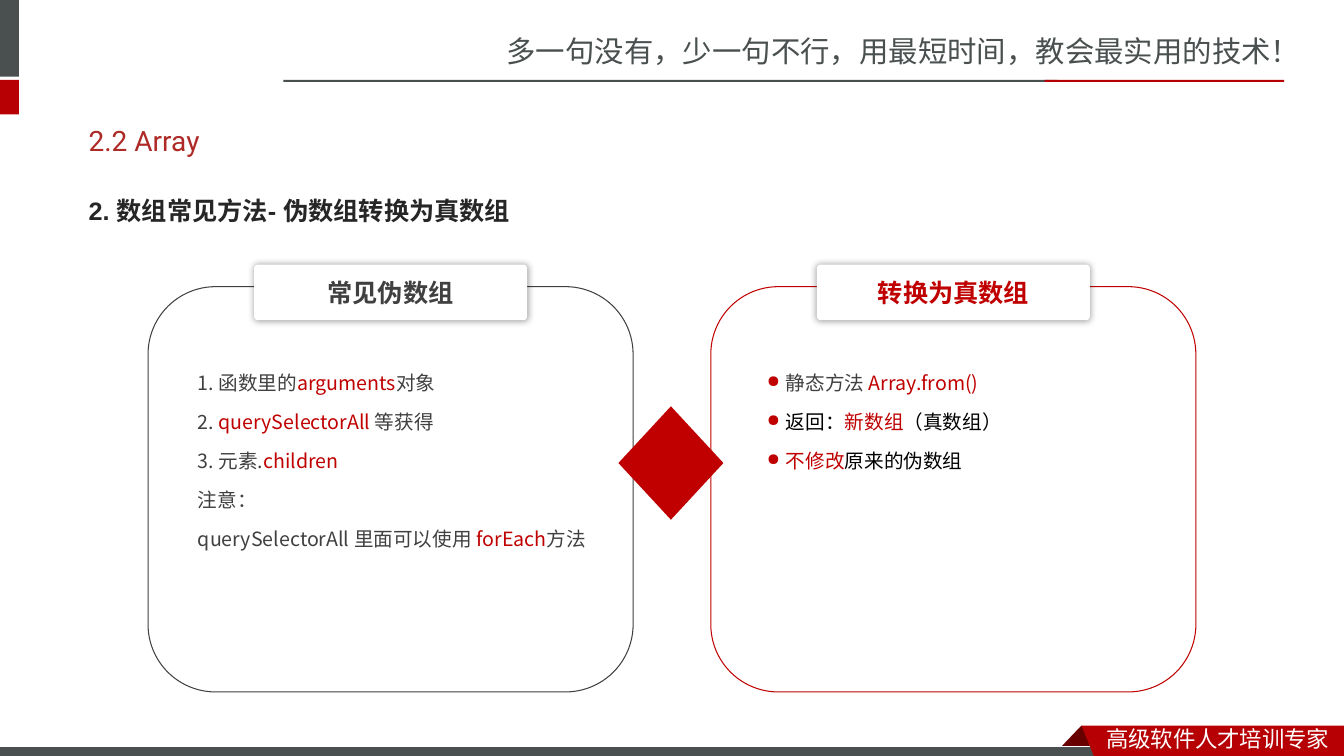
from lxml.etree import SubElement
from pptx import Presentation
from pptx.dml.color import RGBColor
from pptx.enum.shapes import MSO_SHAPE
from pptx.enum.text import MSO_ANCHOR, PP_ALIGN
from pptx.oxml.ns import qn
from pptx.util import Emu, Pt

PX = 9525  # EMU, 96 px to the inch
SLIDE_WIDTH, SLIDE_HEIGHT = 1280, 720

WHITE = RGBColor(0xFF, 0xFF, 0xFF)
BLACK = RGBColor(0x00, 0x00, 0x00)
SLATE = RGBColor(0x49, 0x50, 0x4F)
BRIGHT_RED = RGBColor(0xB6, 0x00, 0x04)
FOLD_RED = RGBColor(0x68, 0x00, 0x00)
TITLE_RED = RGBColor(0xAD, 0x2A, 0x26)
RED = RGBColor(0xC0, 0x00, 0x00)
GREY = RGBColor(0x40, 0x40, 0x40)
DARK = RGBColor(0x26, 0x26, 0x26)

SANS_SC = "Noto Sans CJK SC"
SANS_JP = "Noto Sans CJK JP"

FAKE_ARRAYS = [
    [("1. 函数里的", GREY), ("arguments", RED), ("对象", GREY)],
    [("2. ", GREY), ("querySelectorAll ", RED), ("等获得", GREY)],
    [("3. 元素.", GREY), ("children", RED)],
    [("注意：", GREY)],
    [("querySelectorAll 里面可以使用 ", GREY), ("forEach", RED), ("方法", GREY)],
]
CONVERSION = [
    [("静态方法 ", GREY), ("Array.from()", RED)],
    [("返回：", BLACK), ("新数组", RED), ("（真数组）", BLACK)],
    [("不修改", RED), ("原来的伪数组", BLACK)],
]


def px(*lengths):
    return [Emu(length * PX) for length in lengths]


def paint(shape, fill=None, line=None):
    shape.shadow.inherit = False
    if fill is None:
        shape.fill.background()
    else:
        shape.fill.solid()
        shape.fill.fore_color.rgb = fill
    if line is None:
        shape.line.fill.background()
    else:
        shape.line.color.rgb = line
        shape.line.width = Pt(0.75)


def add_block(slide, kind, box, fill=None, line=None):
    shape = slide.shapes.add_shape(kind, *px(*box))
    paint(shape, fill, line)
    return shape


def add_polygon(slide, points, fill):
    builder = slide.shapes.build_freeform(*points[0], scale=PX)
    builder.add_line_segments(points[1:], close=True)
    paint(builder.convert_to_shape(), fill)


def add_text(slide, box, paragraphs, size, font, bold=False, anchor=MSO_ANCHOR.TOP,
             align=PP_ALIGN.LEFT, line_spacing=None, bullets=False):
    """Each paragraph is a list of (text, colour) runs."""
    frame = slide.shapes.add_textbox(*px(*box)).text_frame
    frame.word_wrap = True
    frame.vertical_anchor = anchor
    for index, runs in enumerate(paragraphs):
        paragraph = frame.add_paragraph() if index else frame.paragraphs[0]
        paragraph.alignment = align
        if line_spacing:
            paragraph.line_spacing = line_spacing
            paragraph.space_before = Pt(size * 0.2)
        if bullets:
            add_bullet(paragraph)
        for text, color in runs:
            run = paragraph.add_run()
            run.text = text
            run.font.size = Pt(size)
            run.font.bold = bold
            run.font.name = font
            run.font.color.rgb = color
            SubElement(run.font._element, qn("a:ea"), typeface=font)


def add_bullet(paragraph):
    indent = 18 * PX
    properties = paragraph._p.get_or_add_pPr()
    properties.set("marL", str(indent))
    properties.set("indent", str(-indent))
    color = SubElement(properties, qn("a:buClr"))
    SubElement(color, qn("a:srgbClr"), val=str(RED))
    SubElement(properties, qn("a:buSzPct"), val="85000")
    SubElement(properties, qn("a:buChar"), char="●")


def add_glow(shape):
    effects = shape._element.spPr.find(qn("a:effectLst"))
    shadow = SubElement(effects, qn("a:outerShdw"), blurRad=str(Pt(5)),
                        algn="ctr", rotWithShape="0")
    color = SubElement(shadow, qn("a:srgbClr"), val=str(BLACK))
    SubElement(color, qn("a:alpha"), val="40000")


def add_header(slide):
    add_text(slide, (473, 27, 807, 45),
             [[("多一句没有，少一句不行，用最短时间，教会最实用的技术！", SLATE)]], 21, SANS_SC)
    for box, fill in [((-6, 0, 24, 73), SLATE), ((-6, 76, 24, 33), BRIGHT_RED),
                      ((270, 76, 737, 2), SLATE), ((995, 76, 228, 2), BRIGHT_RED)]:
        add_block(slide, MSO_SHAPE.RECTANGLE, box, fill)


def add_footer(slide, left, top):
    """The ribbon starts at left, top and runs to the right edge."""
    bottom = top + 32
    add_polygon(slide, [(left, top), (left + 21, top + 22), (left - 21, top + 22)], FOLD_RED)
    add_block(slide, MSO_SHAPE.RECTANGLE, (-1, top + 20, 1056, 12), SLATE, WHITE)
    add_polygon(slide, [(left, top), (SLIDE_WIDTH, top), (SLIDE_WIDTH, bottom),
                        (left + 13, bottom)], BRIGHT_RED)
    add_text(slide, (left + 14, top - 5, SLIDE_WIDTH - left - 14, 36),
             [[("高级软件人才培训专家", WHITE)]], 16, SANS_SC)


def add_headings(slide, left, width):
    add_text(slide, (left, 106, width, 55), [[("2.2 Array", TITLE_RED)]], 20, "Roboto",
             anchor=MSO_ANCHOR.MIDDLE)
    add_text(slide, (left, 167, width, 463),
             [[("2. 数组常见方法- 伪数组转换为真数组", DARK)]], 18, "Arial",
             bold=True, line_spacing=1.5)


def add_card(slide, left, top, color, heading, paragraphs, text_left, bullets=False):
    width, label_width, label_height = 462, 260, 53
    add_block(slide, MSO_SHAPE.ROUNDED_RECTANGLE, (left, top, width, 386), line=color)
    label_box = (left + (width - label_width) // 2, top - 21, label_width, label_height)
    label = add_block(slide, MSO_SHAPE.ROUNDED_RECTANGLE, label_box, WHITE)
    label.adjustments[0] = 0.07
    add_glow(label)
    add_text(slide, label_box, [[(heading, color)]], 18, SANS_JP, bold=True,
             anchor=MSO_ANCHOR.MIDDLE, align=PP_ALIGN.CENTER)
    add_text(slide, (left + text_left, top + 64, 410, 288), paragraphs, 14, SANS_JP,
             line_spacing=1.5, bullets=bullets)


def main():
    presentation = Presentation()
    presentation.slide_width, presentation.slide_height = px(SLIDE_WIDTH, SLIDE_HEIGHT)
    slide = presentation.slides.add_slide(presentation.slide_layouts[6])
    add_header(slide)
    add_footer(slide, 1030, 691)
    add_headings(slide, 75, 1126)
    add_card(slide, 141, 273, GREY, "常见伪数组", FAKE_ARRAYS, 38)
    add_card(slide, 677, 273, RED, "转换为真数组", CONVERSION, 44, bullets=True)
    add_block(slide, MSO_SHAPE.DIAMOND, (589, 387, 100, 108), RED)
    presentation.save("out.pptx")


if __name__ == "__main__":
    main()
